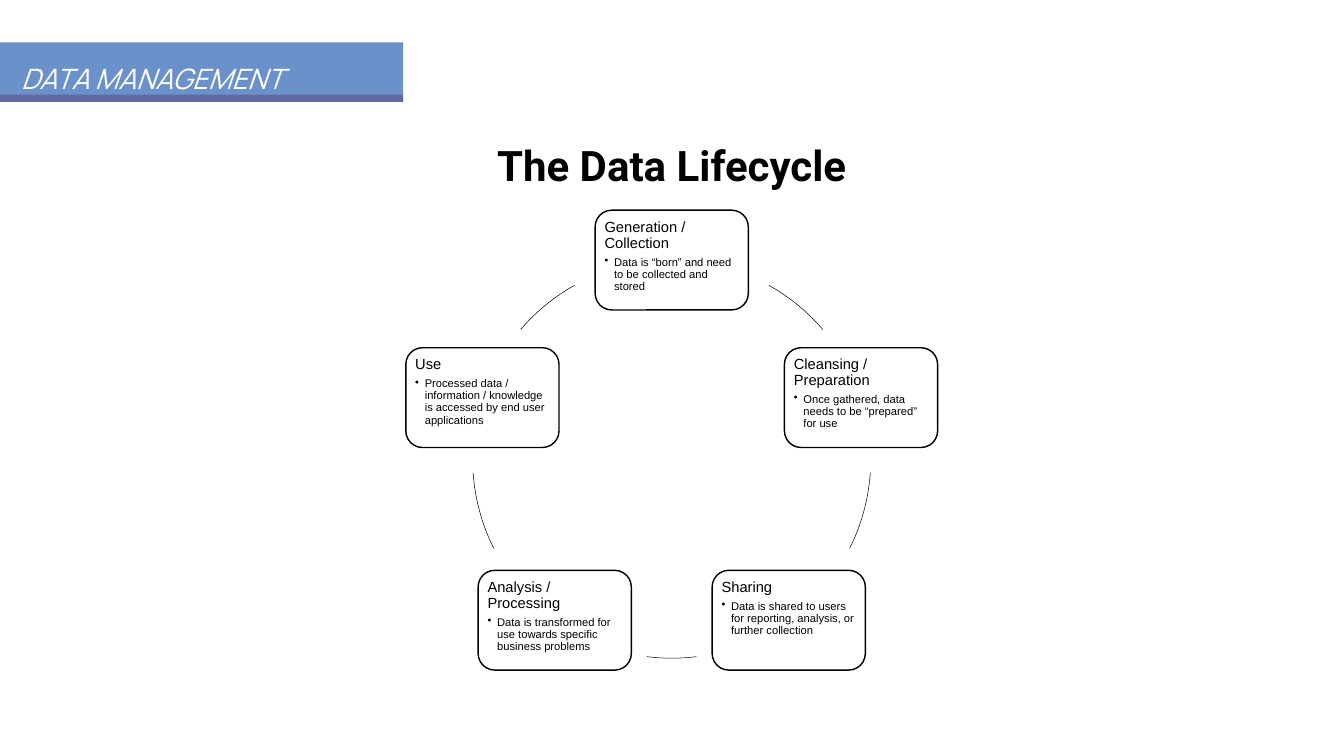
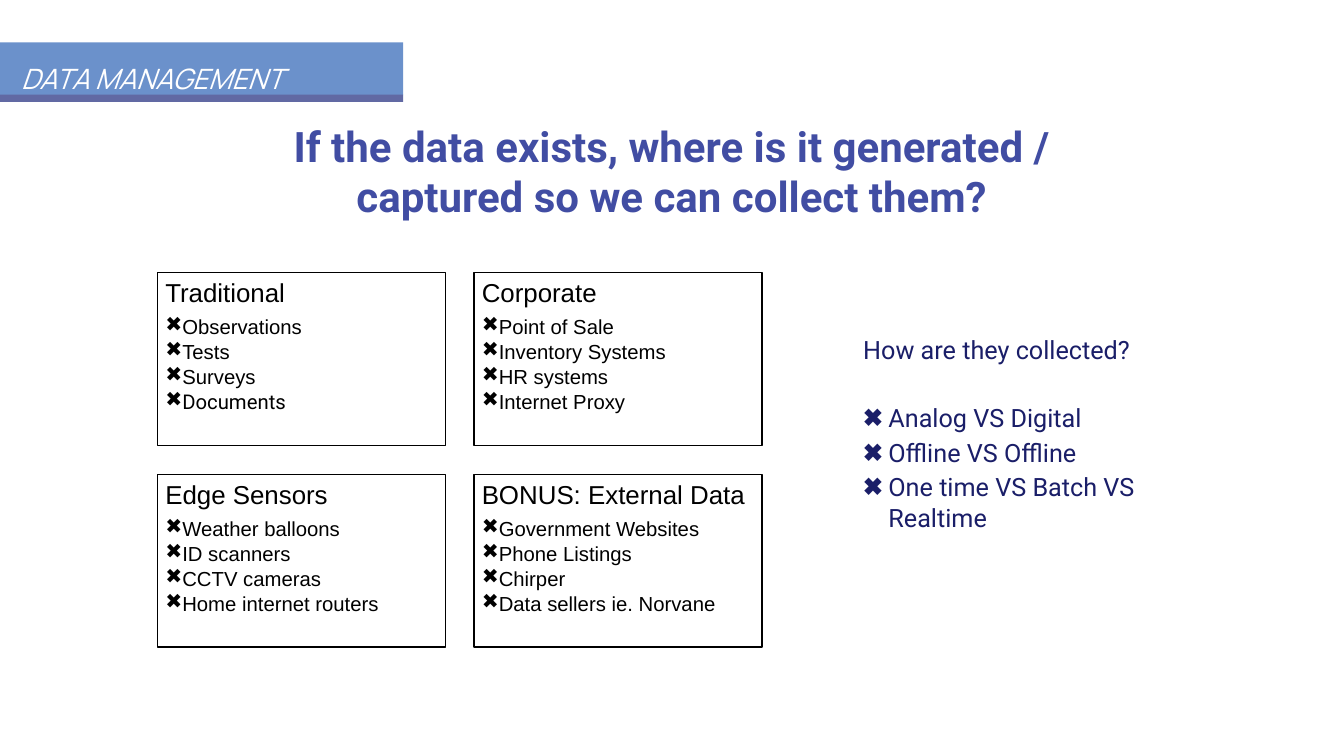
"""Build two slides on data management: the data lifecycle and the sources of data."""

import math
from dataclasses import dataclass

import pptx
import pptx.dml.color
import pptx.enum.shapes
import pptx.enum.text
import pptx.oxml
import pptx.oxml.ns
import pptx.util
from pptx.util import Inches

COLORS = {
    "paper": "FFFFFF",
    "ink": "000000",
    "band": "6B91CB",
    "band edge": "6169A3",
    "question": "414DA3",
    "answer": "1A1E68",
}
SHAPES = pptx.enum.shapes.MSO_SHAPE
ANCHORS = pptx.enum.text.MSO_ANCHOR
ALIGNMENTS = pptx.enum.text.PP_ALIGN
CROSS = "✖"


@dataclass(frozen=True)
class Area:
    left: float
    top: float
    width: float
    height: float


@dataclass(frozen=True)
class Card:
    heading: str
    items: tuple[str, ...]
    closing_font: str = "Arial"


@dataclass(frozen=True)
class CardStyle:
    shape: int
    width: float
    height: float
    margin: float
    heading_size: float
    item_size: float
    bullet: str
    indent: float
    first_gap: float
    item_gap: float


STAGE_STYLE = CardStyle(SHAPES.ROUNDED_RECTANGLE, 3.04, 1.98, 0.09, 21, 16, "•", 0.19, 7.3, 7.3)
SOURCE_STYLE = CardStyle(SHAPES.RECTANGLE, 5.71, 3.43, 0.15, 37, 29, CROSS, 0.31, 12.9, 4.3)

STAGES = (
    Card("Generation / Collection", ("Data is “born” and need to be collected and stored",)),
    Card("Cleansing / Preparation", ("Once gathered, data needs to be “prepared” for use",)),
    Card("Sharing", ("Data is shared to users for reporting, analysis, or further collection",)),
    Card("Analysis / Processing",
         ("Data is transformed for use towards specific business problems",)),
    Card("Use", ("Processed data / information / knowledge is accessed by end user applications",)),
)
SOURCES = (
    Card("Traditional", ("Observations", "Tests", "Surveys", "Documents"), "Roboto"),
    Card("Corporate", ("Point of Sale", "Inventory Systems", "HR systems", "Internet Proxy")),
    Card("Edge Sensors",
         ("Weather balloons", "ID scanners", "CCTV cameras", "Home internet routers")),
    Card("BONUS: External Data",
         ("Government Websites", "Phone Listings", "Chirper", "Data sellers ie. Norvane")),
)
CHOICES = ("Analog VS Digital", "Offline VS Offline", "One time VS Batch VS Realtime")

RING_X, RING_Y, RING_RADIUS = 13.33, 9.11, 3.95
ARCS = ((29.2, 49.4), (93.9, 116.6), (172.9, 187.1), (243.4, 266.1), (310.6, 330.8))


def rgb(name: str) -> pptx.dml.color.RGBColor:
    return pptx.dml.color.RGBColor.from_string(COLORS[name])


def place(box, area: Area) -> None:
    box.left, box.top = Inches(area.left), Inches(area.top)
    box.width, box.height = Inches(area.width), Inches(area.height)


def prepare_frame(box, margin: float, anchor=ANCHORS.TOP):
    frame = box.text_frame
    frame.auto_size = pptx.enum.text.MSO_AUTO_SIZE.NONE
    frame.word_wrap = True
    frame.vertical_anchor = anchor
    frame.margin_left = frame.margin_right = Inches(margin)
    frame.margin_top = frame.margin_bottom = Inches(margin)
    return frame


def write(para, text: str, *, size: float, font: str = "Arial", color: str = "ink",
          bold: bool = False, italic: bool = False, align=ALIGNMENTS.LEFT,
          spacing: float = 1.0, before: float = 0) -> None:
    para.alignment = align
    para.line_spacing = spacing
    para.space_before = pptx.util.Pt(before)
    span = para.add_run()
    span.text = text
    span.font.name = font
    span.font.size = pptx.util.Pt(size)
    span.font.bold = bold
    span.font.italic = italic
    span.font.color.rgb = rgb(color)


def set_bullet(para, symbol: str = "", indent: float = 0, color: str = "ink") -> None:
    properties = para._p.get_or_add_pPr()
    properties.set("marL", str(Inches(indent)))
    properties.set("indent", str(-Inches(indent)))
    space = pptx.oxml.ns.nsdecls("a")
    if symbol:
        properties.append(pptx.oxml.parse_xml(
            f'<a:buClr {space}><a:srgbClr val="{COLORS[color]}"/></a:buClr>'))
        properties.append(pptx.oxml.parse_xml(f'<a:buChar {space} char="{symbol}"/>'))
    else:
        properties.append(pptx.oxml.parse_xml(f"<a:buNone {space}/>"))


def add_figure(page, kind, area: Area, *, fill: str = "", line: str = "", weight: float = 0):
    figure = page.shapes.add_shape(kind, 0, 0, 0, 0)
    place(figure, area)
    figure.shadow.inherit = False
    if fill:
        figure.fill.solid()
        figure.fill.fore_color.rgb = rgb(fill)
    else:
        figure.fill.background()
    if line:
        figure.line.color.rgb = rgb(line)
        figure.line.width = pptx.util.Pt(weight)
    else:
        figure.line.fill.background()
    return figure


def add_banner(page) -> None:
    add_figure(page, SHAPES.RECTANGLE, Area(0, 0.84, 8, 1.05), fill="band")
    add_figure(page, SHAPES.RECTANGLE, Area(0, 1.88, 8, 0.14), fill="band edge")
    label = page.shapes.add_textbox(0, 0, 0, 0)
    place(label, Area(0.36, 0.9, 7.28, 0.84))
    frame = prepare_frame(label, 0.06, ANCHORS.MIDDLE)
    write(frame.paragraphs[0], "DATA MANAGEMENT", size=40, font="Manrope", color="paper",
          italic=True, spacing=1.73)


def start_page(deck, layout: int, title: str, area: Area, color: str):
    page = deck.slides.add_slide(deck.slide_layouts[layout])
    add_banner(page)
    heading = page.shapes.title
    place(heading, area)
    frame = prepare_frame(heading, 0.1, ANCHORS.BOTTOM)
    write(frame.paragraphs[0], title, size=60, font="Roboto", color=color, bold=True,
          align=ALIGNMENTS.CENTER)
    return page


def add_card(page, card: Card, style: CardStyle, left: float, top: float) -> None:
    box = add_figure(page, style.shape, Area(left, top, style.width, style.height),
                     fill="paper", line="ink", weight=2)
    frame = prepare_frame(box, style.margin)
    write(frame.paragraphs[0], card.heading, size=style.heading_size, spacing=0.9)
    for index, item in enumerate(card.items):
        para = frame.add_paragraph()
        para.level = 1
        set_bullet(para, style.bullet, style.indent)
        last = index == len(card.items) - 1
        write(para, item, size=style.item_size, spacing=0.9,
              font=card.closing_font if last else "Arial",
              before=style.item_gap if index else style.first_gap)


def add_arc(page, start: float, end: float) -> None:
    area = Area(RING_X - RING_RADIUS, RING_Y - RING_RADIUS, 2 * RING_RADIUS, 2 * RING_RADIUS)
    arc = add_figure(page, SHAPES.ARC, area, line="ink", weight=0.75)
    for index, angle in enumerate((start, end)):
        arc.adjustments[index] = (angle - 90) % 360 * 0.6


def build_lifecycle(deck) -> None:
    page = start_page(deck, 5, "The Data Lifecycle", Area(6.14, 2.31, 14.38, 1.56), "ink")
    for index, (stage, arc) in enumerate(zip(STAGES, ARCS)):
        angle = math.tau * index / len(STAGES)
        left = RING_X + RING_RADIUS * math.sin(angle) - STAGE_STYLE.width / 2
        top = RING_Y - RING_RADIUS * math.cos(angle) - STAGE_STYLE.height / 2
        add_card(page, stage, STAGE_STYLE, left, top)
        add_arc(page, *arc)


def build_sources(deck) -> None:
    page = start_page(
        deck, 1, "If the data exists, where is it generated / captured so we can collect them?",
        Area(4.38, 2.93, 17.9, 1.56), "question")
    gap = 0.57
    for index, source in enumerate(SOURCES):
        row, column = divmod(index, 2)
        add_card(page, source, SOURCE_STYLE, 3.13 + column * (SOURCE_STYLE.width + gap),
                 5.41 + row * (SOURCE_STYLE.height + gap))

    body = page.placeholders[1]
    place(body, Area(17.03, 6.54, 7.58, 4.69))
    frame = prepare_frame(body, 0.1)
    question = frame.paragraphs[0]
    set_bullet(question)
    write(question, "How are they collected?", size=36, font="Roboto", color="answer")
    for index, choice in enumerate(CHOICES):
        para = frame.add_paragraph()
        set_bullet(para, CROSS, 0.5, "answer")
        write(para, choice, size=36, font="Roboto", color="answer", before=6 if index else 54)


def main() -> None:
    deck = pptx.Presentation()
    deck.slide_width, deck.slide_height = Inches(26.67), Inches(15)
    build_lifecycle(deck)
    build_sources(deck)
    deck.save("out.pptx")


if __name__ == "__main__":
    main()
